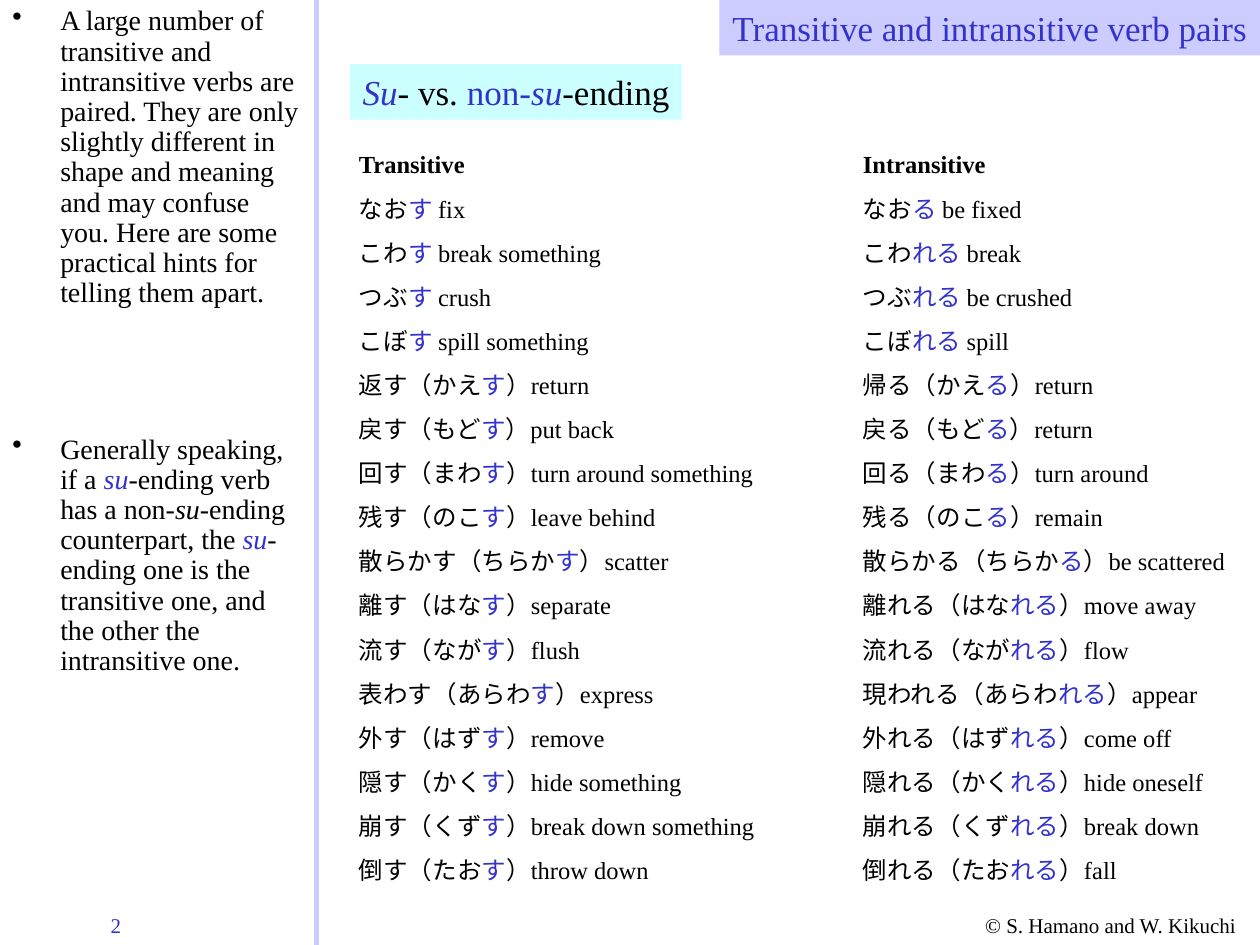
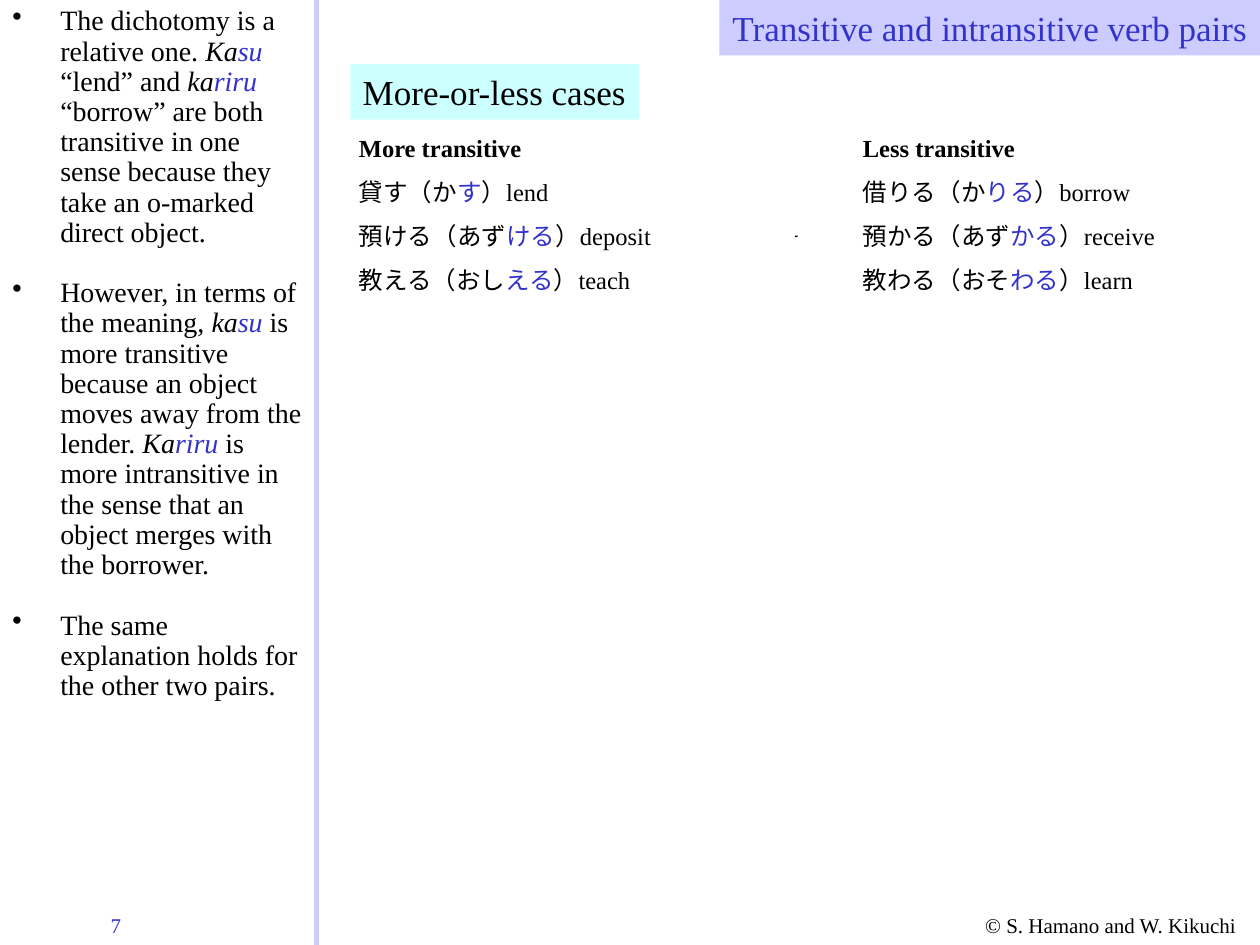
from dataclasses import dataclass
from lxml.etree import SubElement
from pptx import Presentation
from pptx.dml.color import RGBColor
from pptx.enum.shapes import MSO_CONNECTOR, MSO_SHAPE
from pptx.enum.text import MSO_ANCHOR, MSO_AUTO_SIZE, PP_ALIGN
from pptx.oxml.ns import qn
from pptx.util import Inches, Pt

COLORS = {"ink": "000000", "blue": "3333CC", "band": "CCCCFF", "mint": "CCFFFF"}
LATIN, KANA = "Times New Roman", "Noto Sans CJK JP"
TITLE = "Transitive and intransitive verb pairs"
CREDIT = "© S. Hamano and W. Kikuchi"


@dataclass
class Note:
    top: float
    height: float
    items: tuple[str, ...]


@dataclass
class Page:
    number: int
    topic: str
    width: float
    top: float
    height: float
    lead: float
    heads: tuple[str, str]
    verbs: tuple[tuple[str, str], ...]
    notes: tuple[Note, ...]
    dot: bool = False


PAGES = (
    Page(
        2, "|_Su_|- vs. |non-_su_|-ending", 2.63, 1.02, 6.05, 25.2,
        ("Transitive", "Intransitive"),
        (
            ("なお|す |fix", "なお|る |be fixed"),
            ("こわ|す |break something", "こわ|れる |break"),
            ("つぶ|す |crush", "つぶ|れる |be crushed"),
            ("こぼ|す |spill something", "こぼ|れる |spill"),
            ("返す（かえ|す|）return", "帰る（かえ|る|）return"),
            ("戻す（もど|す|）put back", "戻る（もど|る|）return"),
            ("回す（まわ|す|）turn around something", "回る（まわ|る|）turn around"),
            ("残す（のこ|す|）leave behind", "残る（のこ|る|）remain"),
            ("散らかす（ちらか|す|）scatter", "散らかる（ちらか|る|）be scattered"),
            ("離す（はな|す|）separate", "離れる（はな|れる|）move away"),
            ("流す（なが|す|）flush", "流れる（なが|れる|）flow"),
            ("表わす（あらわ|す|）express", "現われる（あらわ|れる|）appear"),
            ("外す（はず|す|）remove", "外れる（はず|れる|）come off"),
            ("隠す（かく|す|）hide something", "隠れる（かく|れる|）hide oneself"),
            ("崩す（くず|す|）break down something", "崩れる（くず|れる|）break down"),
            ("倒す（たお|す|）throw down", "倒れる（たお|れる|）fall"),
        ),
        (
            Note(0, 2.68, (
                "A large number of transitive and intransitive verbs are paired. "
                "They are only slightly different in shape and meaning and may "
                "confuse you. Here are some practical hints for telling them apart.",
            )),
            Note(3.4, 2.1, (
                "Generally speaking, if a |_su_|-ending verb has a non-_su_-ending "
                "counterpart, the |_su_|-ending one is the transitive one, and the "
                "other the intransitive one.",
            )),
        ),
    ),
    Page(
        7, "More-or-less cases", 2.29, 1.01, 1.39, 16.6,
        ("More transitive", "Less transitive"),
        (
            ("貸す（か|す|）lend", "借りる（か|りる|）borrow"),
            ("預ける（あず|ける|）deposit", "預かる（あず|かる|）receive"),
            ("教える（おし|える|）teach", "教わる（おそ|わる|）learn"),
        ),
        (
            Note(0, 5.68, (
                "The dichotomy is a relative one. _Ka|su_| “lend” and _ka|riru_| "
                "“borrow” are both transitive in one sense because they take an "
                "o-marked direct object.",
                "However, in terms of the meaning, _ka|su_| is more transitive "
                "because an object moves away from the lender. _Ka|riru_| is more "
                "intransitive in the sense that an object merges with the borrower.",
                "The same explanation holds for the other two pairs.",
            )),
        ),
        dot=True,
    ),
)


def rgb(name: str) -> RGBColor:
    """Look up a named colour."""
    return RGBColor.from_string(COLORS[name])


def write(frame, text: str, *, size: float, color: str = "ink", bold: bool = False,
          lead: float | None = None, gap: float = 0, align=PP_ALIGN.LEFT,
          bullet: bool = False, tab: float | None = None, first: bool = True) -> None:
    """Write one paragraph, where | switches blue and _ switches italic."""
    para = frame.paragraphs[0] if first else frame.add_paragraph()
    para.alignment = align
    para.space_before = Pt(gap)
    if lead:
        para.line_spacing = Pt(lead)
    props = para._p.get_or_add_pPr()
    if bullet:
        props.set("marL", str(Inches(0.38)))
        props.set("indent", str(Inches(-0.38)))
        SubElement(props, qn("a:buChar"), char="•")
    if tab:
        stops = SubElement(props, qn("a:tabLst"))
        SubElement(stops, qn("a:tab"), pos=str(Inches(tab)), algn="l")
    slant = False
    for turn, chunk in enumerate(text.split("|")):
        for step, piece in enumerate(chunk.split("_")):
            slant ^= step > 0
            if not piece:
                continue
            run = para.add_run()
            run.text = piece
            font = run.font
            font.name, font.size = LATIN, Pt(size)
            font.bold, font.italic = bold, slant
            font.color.rgb = rgb("blue" if turn % 2 else color)
            SubElement(run._r.get_or_add_rPr(), qn("a:ea"), typeface=KANA)


def setup(frame, wrap: bool = True, anchor=MSO_ANCHOR.TOP) -> None:
    """Give a text frame the common margins and fit."""
    frame.margin_left = frame.margin_right = Inches(0.1)
    frame.margin_top = frame.margin_bottom = Inches(0.05)
    frame.auto_size = MSO_AUTO_SIZE.NONE
    frame.word_wrap = wrap
    frame.vertical_anchor = anchor


def add_text(slide, left: float, top: float, width: float, height: float):
    """Add a text box and return its frame."""
    box = slide.shapes.add_textbox(Inches(left), Inches(top), Inches(width), Inches(height))
    setup(box.text_frame)
    return box.text_frame


def add_rect(slide, left: float, top: float, width: float, height: float, color: str):
    """Add a plain filled rectangle."""
    rect = slide.shapes.add_shape(MSO_SHAPE.RECTANGLE, Inches(left), Inches(top),
                                  Inches(width), Inches(height))
    rect.shadow.inherit = False
    rect.fill.solid()
    rect.fill.fore_color.rgb = rgb(color)
    rect.line.fill.background()
    return rect


def add_base(slide, number: int) -> None:
    """Draw the title band, side rule, page number and credit."""
    rule = slide.shapes.add_connector(MSO_CONNECTOR.STRAIGHT, Inches(2.51), Inches(0),
                                      Inches(2.51), Inches(7.5))
    rule.line.color.rgb = rgb("band")
    rule.line.width = Pt(3)
    SubElement(rule._element.spPr, qn("a:effectLst"))
    title = slide.shapes.title
    title.left, title.top = Inches(5.71), Inches(0)
    title.width, title.height = Inches(4.29), Inches(0.44)
    title.fill.solid()
    title.fill.fore_color.rgb = rgb("band")
    setup(title.text_frame, wrap=False, anchor=MSO_ANCHOR.MIDDLE)
    write(title.text_frame, TITLE, size=20, color="blue", align=PP_ALIGN.RIGHT)
    write(add_text(slide, 0.78, 7.19, 0.89, 0.3), str(number), size=12, color="blue")
    write(add_text(slide, 7.72, 7.19, 2.28, 0.3), CREDIT, size=12)


def add_verbs(slide, page: Page) -> None:
    """List the verb pairs in two tabbed columns."""
    frame = add_text(slide, 2.75, page.top, 7.2, page.height)
    write(frame, "\t".join(page.heads), size=14, bold=True, lead=page.lead, tab=4)
    for pair in page.verbs:
        write(frame, "\t".join(pair), size=14, lead=25.2, tab=4, first=False)


def add_notes(slide, note: Note) -> None:
    """Write the bulleted remarks of the side column."""
    frame = add_text(slide, 0, note.top, 2.51, note.height)
    for index, item in enumerate(note.items):
        write(frame, item, size=16, lead=17.25, gap=17.25 if index else 0,
              bullet=True, first=index == 0)


def add_page(deck, page: Page) -> None:
    """Build one slide."""
    slide = deck.slides.add_slide(deck.slide_layouts[5])
    add_base(slide, page.number)
    topic = add_rect(slide, 2.78, 0.51, page.width, 0.44, "mint").text_frame
    setup(topic, wrap=False, anchor=MSO_ANCHOR.MIDDLE)
    write(topic, page.topic, size=20)
    add_verbs(slide, page)
    for note in page.notes:
        add_notes(slide, note)
    if page.dot:
        add_rect(slide, 6.31, 1.87, 0.02, 0.01, "ink")


def main() -> None:
    """Build and save the deck."""
    deck = Presentation()
    deck.slide_width, deck.slide_height = Inches(10), Inches(7.5)
    for page in PAGES:
        add_page(deck, page)
    deck.save("out.pptx")


if __name__ == "__main__":
    main()
